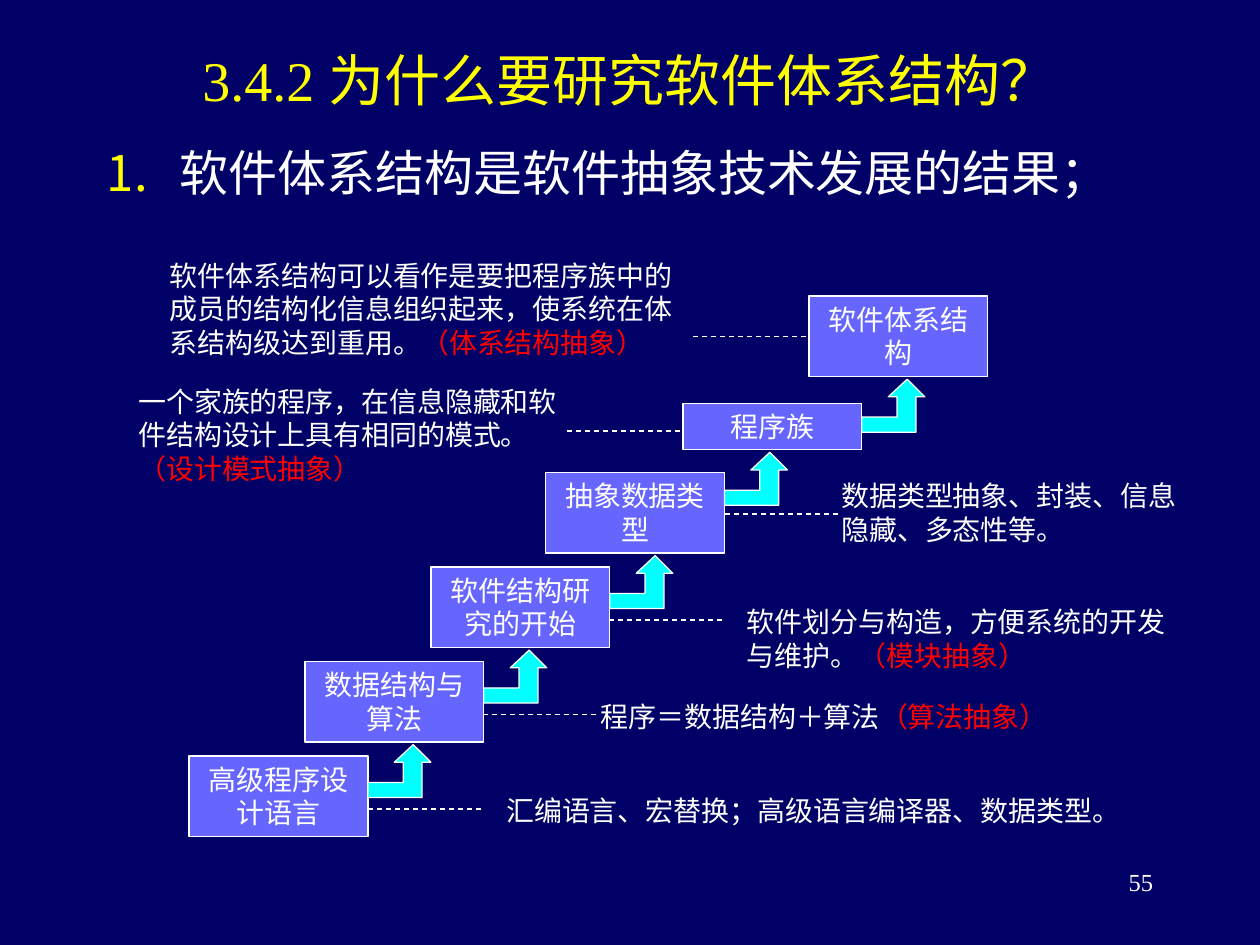
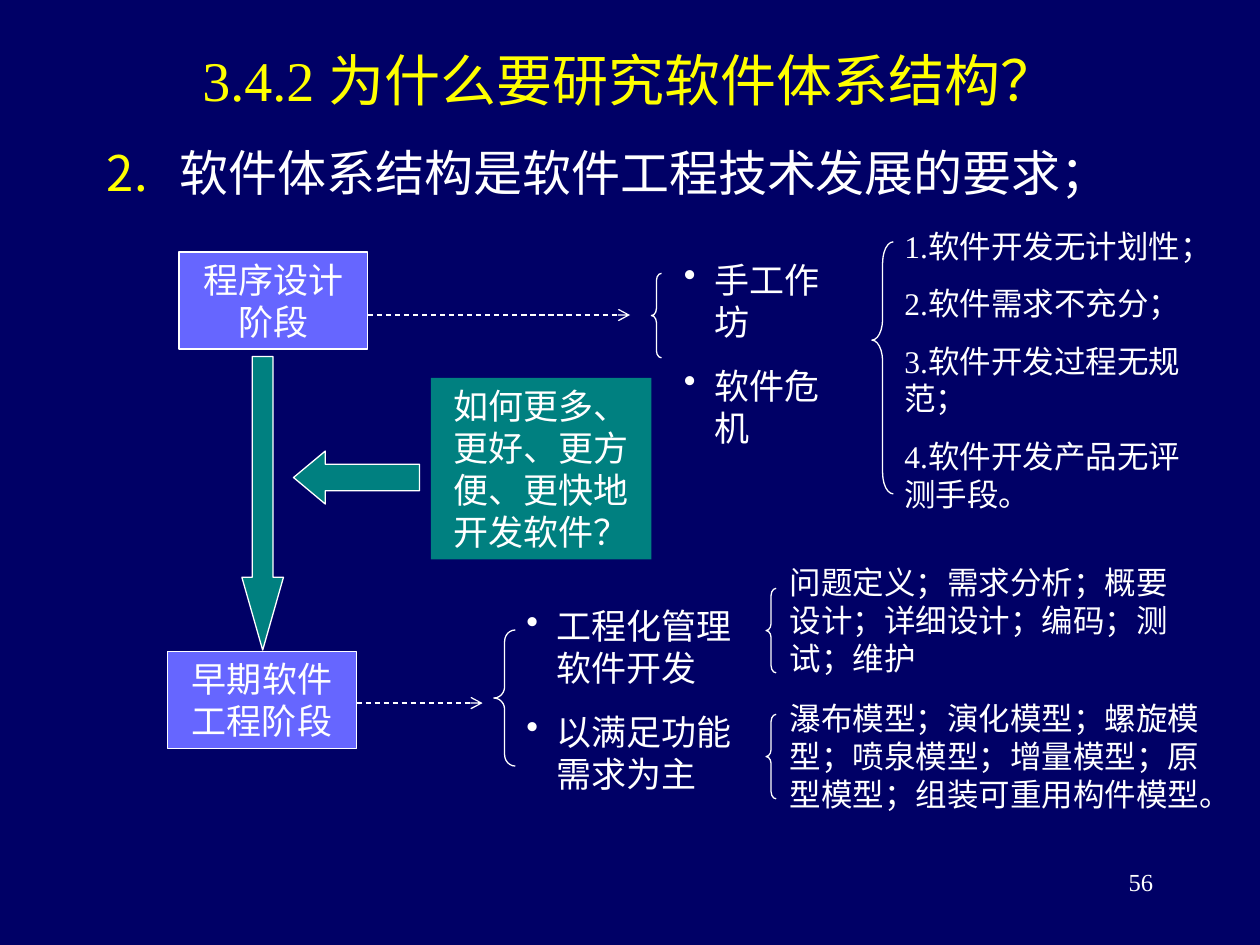
"""Two slides on why software architecture is studied."""
import pptx
import pptx.dml.color
import pptx.enum.dml
import pptx.enum.lang
import pptx.enum.shapes
import pptx.enum.text
import pptx.oxml
import pptx.oxml.ns
import pptx.util

Inches = pptx.util.Inches
Pt = pptx.util.Pt
Align = pptx.enum.text.PP_ALIGN
Shape = pptx.enum.shapes.MSO_SHAPE

FONT = "Times New Roman"
COLORS = {
    "background": "000066", "title": "FFFF00", "text": "FFFFFF",
    "box": "6666FF", "step_arrow": "00FFFF", "teal": "008080",
    "emphasis": "FF0000",
}
TITLE = "3.4.2 为什么要研究软件体系结构？"
LINE_WIDTH = 0.74
STEP_WIDTH = 1.42
GUIDE_LENGTH = 0.92
STEP_ARROW = [(0, 0.3), (0.28, 0.3), (0.28, 0.14), (0.21, 0.14), (0.36, 0),
              (0.5, 0.14), (0.43, 0.14), (0.43, 0.42), (0, 0.42)]

# Step name, left, top, height
STEPS = [
    ("高级程序设计语言", 1.5, 6, 0.64),
    ("数据结构与算法", 2.42, 5.25, 0.64),
    ("软件结构研究的开始", 3.42, 4.5, 0.64),
    ("抽象数据类型", 4.33, 3.75, 0.64),
    ("程序族", 5.42, 3.2, 0.37),
    ("软件体系结构", 6.42, 2.35, 0.64),
]
# Place of the note, its text, its emphasised end, start of its guide line
NOTES = [
    ((3.92, 6.25, 5.5, 0.37), "汇编语言、宏替换；高级语言编译器、数据类型。", "",
     (2.92, 6.42)),
    ((4.67, 5.5, 4.67, 0.37), "程序＝数据结构＋算法", "（算法抽象）",
     (3.83, 5.67)),
    ((5.83, 4.75, 3.67, 0.64), "软件划分与构造，方便系统的开发与维护。",
     "（模块抽象）", (4.83, 4.92)),
    ((6.58, 3.75, 3, 0.64), "数据类型抽象、封装、信息隐藏、多态性等。", "",
     (5.75, 4.08)),
    ((1, 3, 3.67, 0.9), "一个家族的程序，在信息隐藏和软件结构设计上具有相同的模式。",
     "（设计模式抽象）", (4.5, 3.42)),
    ((1.25, 2, 4.25, 0.9),
     "软件体系结构可以看作是要把程序族中的成员的结构化信息组织起来，"
     "使系统在体系结构级达到重用。", "（体系结构抽象）", (5.5, 2.67)),
]


def color(name):
    """Return a named colour."""
    return pptx.dml.color.RGBColor.from_string(COLORS[name])


def inches(*values):
    """Turn numbers into lengths."""
    return [Inches(value) for value in values]


def add_run(para, text, size, tint="text"):
    """Add one formatted run."""
    span = para.add_run()
    span.text = text
    span.font.name = FONT
    span.font.size = Pt(size)
    span.font.color.rgb = color(tint)
    span.font.language_id = pptx.enum.lang.MSO_LANGUAGE_ID.SIMPLIFIED_CHINESE


def fill_text(box, paragraphs, size, align=Align.LEFT, before=None, grow=True):
    """Write paragraphs, each a list of (text, colour) runs."""
    frame = box.text_frame
    frame.word_wrap = True
    frame.vertical_anchor = pptx.enum.text.MSO_ANCHOR.TOP
    fit = pptx.enum.text.MSO_AUTO_SIZE
    frame.auto_size = fit.SHAPE_TO_FIT_TEXT if grow else fit.NONE
    for index, runs in enumerate(paragraphs):
        para = frame.add_paragraph() if index else frame.paragraphs[0]
        para.alignment = align
        para.space_before = Pt(size * 0.625 if before is None else before)
        for text, tint in runs:
            add_run(para, text, size, tint)


def add_text(page, place, paragraphs, size, **options):
    """Add a text box."""
    box = page.shapes.add_textbox(*inches(*place))
    fill_text(box, paragraphs, size, **options)
    return box


def set_bullet(para, indent, tint, kind, **attributes):
    """Give a paragraph a hanging bullet or number."""
    properties = para._p.get_or_add_pPr()
    properties.set("marL", str(Inches(indent)))
    properties.set("indent", str(-Inches(indent)))
    tail = " ".join(f'{key}="{value}"' for key, value in attributes.items())
    namespace = pptx.oxml.ns.nsdecls("a")
    for markup in (
            f'<a:buClr {namespace}><a:srgbClr val="{COLORS[tint]}"/></a:buClr>',
            f'<a:{kind} {namespace} {tail}/>'):
        properties.append(pptx.oxml.parse_xml(markup))


def paint(shape, fill, outline=True):
    """Set fill and outline, without a shadow."""
    shape.shadow.inherit = False
    if fill:
        shape.fill.solid()
        shape.fill.fore_color.rgb = color(fill)
    else:
        shape.fill.background()
    if outline:
        shape.line.color.rgb = color("text")
        shape.line.width = Pt(LINE_WIDTH)
    else:
        shape.line.fill.background()


def add_preset(page, kind, place, fill, adjust=(), outline=True):
    """Add a painted preset shape."""
    shape = page.shapes.add_shape(kind, *inches(*place))
    for index, value in enumerate(adjust):
        shape.adjustments[index] = value
    paint(shape, fill, outline)
    return shape


def add_box(page, place, text, size, fill="box", outline=True):
    """Add a rectangle with centred text."""
    box = add_preset(page, Shape.RECTANGLE, place, fill, outline=outline)
    fill_text(box, [[(text, "text")]], size, align=Align.CENTER)


def add_brace(page, place, middle=0.5):
    """Add a left brace whose curves take a twelfth of its height."""
    width, height = place[2:]
    add_preset(page, Shape.LEFT_BRACE, place, None,
               (height / 12 / width, middle))


def add_step_arrow(page, left, top):
    """Add a bent arrow that leads up to the next step."""
    points = inches(*[left + x for x, y in STEP_ARROW])
    heights = inches(*[top + y for x, y in STEP_ARROW])
    outline = list(zip(points, heights))
    builder = page.shapes.build_freeform(*outline[0])
    builder.add_line_segments(outline[1:], close=True)
    paint(builder.convert_to_shape(), "step_arrow")


def add_dashed_line(page, left, top, length, arrow=False):
    """Add a level dashed line, with an arrowhead if asked."""
    line = page.shapes.add_connector(
        pptx.enum.shapes.MSO_CONNECTOR.STRAIGHT,
        *inches(left, top, left + length, top))
    line.line.color.rgb = color("text")
    line.line.width = Pt(LINE_WIDTH)
    line.line.dash_style = pptx.enum.dml.MSO_LINE.DASH
    namespace = pptx.oxml.ns.nsdecls("a")
    if arrow:
        line.line._get_or_add_ln().append(
            pptx.oxml.parse_xml(f'<a:tailEnd {namespace} type="arrow"/>'))
    line._element.spPr.append(
        pptx.oxml.parse_xml(f"<a:effectLst {namespace}/>"))


def add_bullets(page, place, items):
    """Add a bulleted list."""
    box = add_text(page, place, [[(item, "text")] for item in items], 20)
    for para in box.text_frame.paragraphs:
        set_bullet(para, 0.24, "text", "buChar", char="•")


def add_page(deck, point, heading, number):
    """Add a slide with title, numbered heading and page number."""
    page = deck.slides.add_slide(deck.slide_layouts[5])
    page.background.fill.solid()
    page.background.fill.fore_color.rgb = color("background")
    title = page.shapes.title
    title.left, title.top, title.width, title.height = inches(0.75, 0, 8.5, 1.25)
    fill_text(title, [[(TITLE, "title")]], 32, align=Align.CENTER,
              before=0, grow=False)
    title.text_frame.vertical_anchor = pptx.enum.text.MSO_ANCHOR.MIDDLE
    box = add_text(page, (0.75, 1.08, 8.5, 0.67), [[(heading, "text")]], 28,
                   before=7, grow=False)
    set_bullet(box.text_frame.paragraphs[0], 0.58, "title", "buAutoNum",
               type="arabicPeriod", startAt=point)
    add_text(page, (7.17, 6.83, 2.08, 0.5), [[(str(number), "text")]], 14,
             align=Align.RIGHT, before=0, grow=False)
    return page


def build_abstraction(deck):
    """Build the staircase of abstraction steps."""
    page = add_page(deck, 1, "软件体系结构是软件抽象技术发展的结果；", 55)
    for name, left, top, height in STEPS:
        add_box(page, (left, top, STEP_WIDTH, height), name, 16)
    for (_, left, _, _), (_, _, top, height) in zip(STEPS, STEPS[1:]):
        add_step_arrow(page, left + STEP_WIDTH, top + height + 0.02)
    for place, text, emphasis, (left, top) in NOTES:
        add_dashed_line(page, left, top, GUIDE_LENGTH)
        runs = [(text, "text")]
        if emphasis:
            runs.append((emphasis, "emphasis"))
        add_text(page, place, [runs], 16)


def build_engineering(deck):
    """Build the move from programming to early software engineering."""
    page = add_page(deck, 2, "软件体系结构是软件工程技术发展的要求；", 56)
    add_box(page, (1.42, 2, 1.5, 0.77), "程序设计阶段", 20)
    add_box(page, (1.33, 5.17, 1.5, 0.77), "早期软件工程阶段", 20)
    add_preset(page, Shape.DOWN_ARROW, (1.92, 2.83, 0.33, 2.33), "teal",
               (0.5, 1.75))
    add_preset(page, Shape.LEFT_ARROW, (2.33, 3.58, 1, 0.42), "teal",
               (0.5, 0.6))
    add_box(page, (3.42, 3, 1.75, 1.44), "如何更多、更好、更方便、更快地开发软件？",
            20, "teal", outline=False)

    add_dashed_line(page, 2.92, 2.5, 2.08, arrow=True)
    add_dashed_line(page, 2.83, 5.58, 1, arrow=True)
    add_brace(page, (6.92, 1.92, 0.17, 2), 0.39)
    add_brace(page, (3.92, 5, 0.17, 1.08))
    for left, top in ((5.17, 2.17), (6.08, 4.67), (6.08, 5.67)):
        add_brace(page, (left, top, 0.08, 0.67))

    add_bullets(page, (5.33, 2, 1.42, 0.94), ["手工作坊", "软件危机"])
    add_bullets(page, (4.08, 4.75, 2, 1.61),
                ["工程化管理软件开发", "以满足功能需求为主"])
    problems = ["软件开发无计划性；", "软件需求不充分；",
                "软件开发过程无规范；", "软件开发产品无评测手段。"]
    add_text(page, (7.08, 1.75, 2.58, 2.37),
             [[(f"{index}.{problem}", "text")]
              for index, problem in enumerate(problems, 1)], 18)
    add_text(page, (6.17, 4.42, 3.42, 1),
             [[("问题定义；需求分析；概要设计；详细设计；编码；测试；维护", "text")]], 18)
    add_text(page, (6.17, 5.5, 3.58, 1),
             [[("瀑布模型；演化模型；螺旋模型；喷泉模型；增量模型；原型模型；"
                "组装可重用构件模型。", "text")]], 18)


def main():
    """Build and save the deck."""
    deck = pptx.Presentation()
    deck.slide_width, deck.slide_height = inches(10, 7.5)
    build_abstraction(deck)
    build_engineering(deck)
    deck.save("out.pptx")


main()
